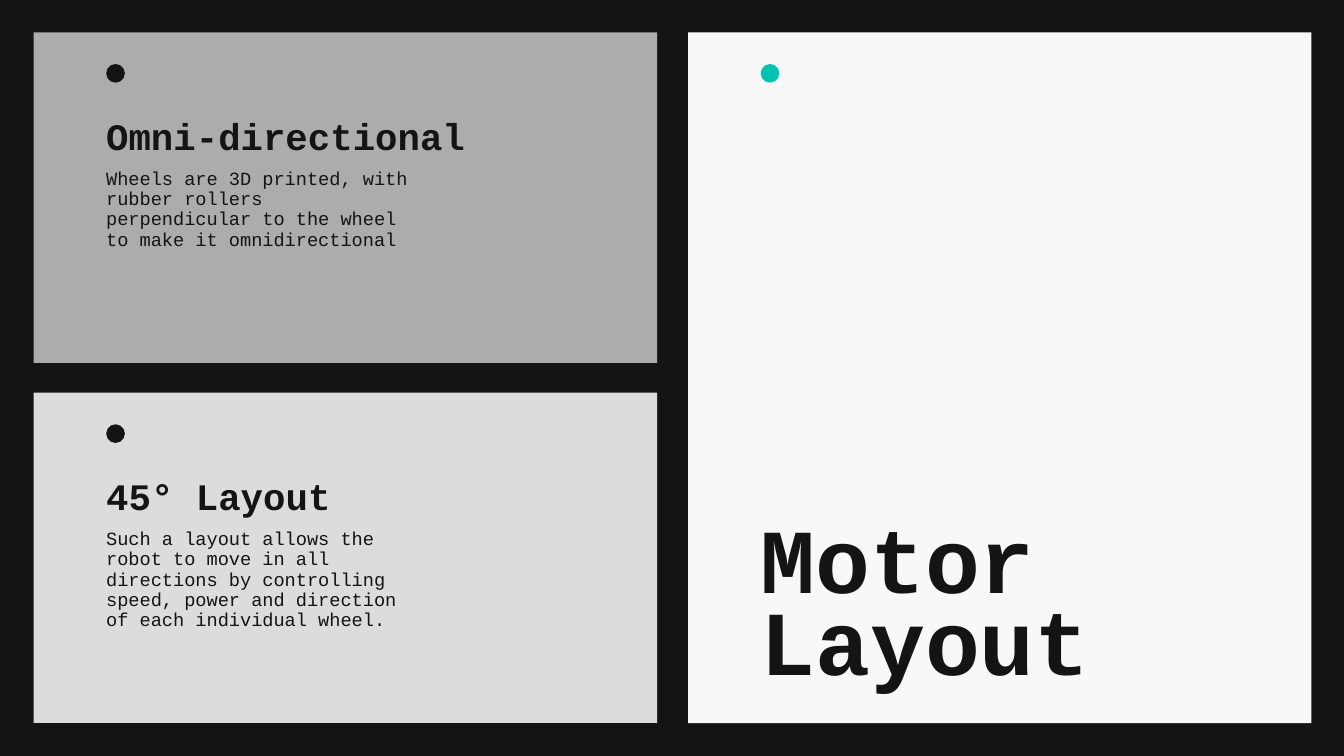
from pptx import Presentation
from pptx.dml.color import RGBColor
from pptx.enum.shapes import MSO_SHAPE as Shape
from pptx.enum.text import MSO_ANCHOR as Anchor
from pptx.util import Pt

INK, PAPER, TEAL = "141414", "F8F8F8", "00C3B1"
CARD_WIDTH, CARD_HEIGHT = 334, 177
LEFT, RIGHT, TOP = 18, 368.6, 17.4
ROW_STEP = 193
INDENT = 38.9


def paint(fill, color):
    fill.solid()
    fill.fore_color.rgb = RGBColor.from_string(color)


class SlideBuilder:
    font = "Courier New"

    def __init__(self, slide):
        self.slide = slide
        paint(slide.background.fill, INK)

    def shape(self, kind, x, y, width, height, color):
        part = self.slide.shapes.add_shape(kind, Pt(x), Pt(y), Pt(width), Pt(height))
        paint(part.fill, color)
        part.line.fill.background()
        part.shadow.inherit = False

    def card(self, x, y, height, color, dot_color=INK):
        """Draw a panel with its marker dot."""
        self.shape(Shape.RECTANGLE, x, y, CARD_WIDTH, height, color)
        self.shape(Shape.OVAL, x + INDENT, y + 16.9, 10, 10, dot_color)

    def text(self, words, x, y, width, height, size, heading=False):
        frame = self.slide.shapes.add_textbox(
            Pt(x), Pt(y), Pt(width), Pt(height)).text_frame
        frame.word_wrap = True
        frame.margin_left = frame.margin_right = 0
        frame.margin_top = frame.margin_bottom = 0
        frame.vertical_anchor = Anchor.BOTTOM if heading else Anchor.TOP
        paragraph = frame.paragraphs[0]
        paragraph.line_spacing = 0.75 if heading else 0.9
        paragraph.space_after = Pt(2 if heading else 0)
        run = paragraph.add_run()
        run.text = words
        run.font.name = self.font
        run.font.size = Pt(size)
        run.font.bold = heading
        run.font.color.rgb = RGBColor.from_string(INK)


def main():
    deck = Presentation()
    deck.slide_width, deck.slide_height = Pt(720), Pt(405)
    builder = SlideBuilder(deck.slides.add_slide(deck.slide_layouts[6]))

    builder.card(RIGHT, TOP, ROW_STEP + CARD_HEIGHT, PAPER, TEAL)
    builder.text("Motor Layout", RIGHT + INDENT, 261.4, 259.2, 109.4, 49, heading=True)

    topics = [
        ("Omni-directional", "ACACAC", 220.3,
         "Wheels are 3D printed, with rubber rollers perpendicular to the wheel "
         "to make it omnidirectional"),
        ("45° Layout", "DCDCDC", 166.3,
         "Such a layout allows the robot to move in all directions by controlling "
         "speed, power and direction of each individual wheel."),
    ]
    for row, (heading, color, heading_width, detail) in enumerate(topics):
        y = TOP + row * ROW_STEP
        builder.card(LEFT, y, CARD_HEIGHT, color)
        builder.text(heading, LEFT + INDENT, y + 41.6, heading_width, 25.2, 20, heading=True)
        builder.text(detail, LEFT + INDENT, y + 73.3, 166.3, 74.9, 10)

    deck.save("out.pptx")


if __name__ == "__main__":
    main()
